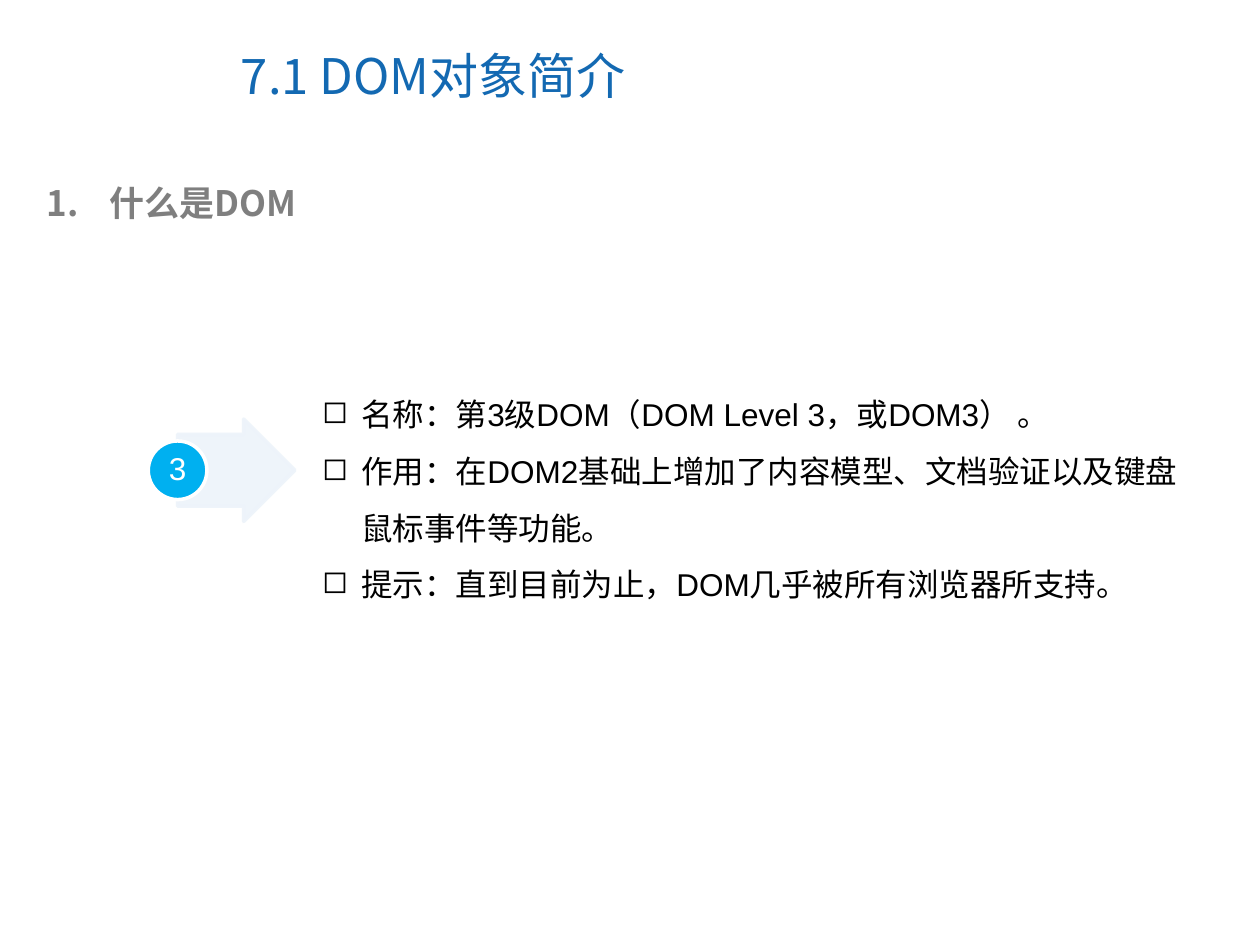
import dataclasses

import lxml.etree
import pptx
import pptx.dml.color
import pptx.enum.shapes
import pptx.enum.text
import pptx.oxml.ns
import pptx.util

Pt = pptx.util.Pt
qn = pptx.oxml.ns.qn
ALIGN = pptx.enum.text.PP_ALIGN
ANCHOR = pptx.enum.text.MSO_ANCHOR
SHAPE = pptx.enum.shapes.MSO_SHAPE
CJK = "Noto Sans CJK SC"


@dataclasses.dataclass
class Box:
    left: float
    top: float
    width: float
    height: float

    def lengths(self):
        return [Pt(v) for v in dataclasses.astuple(self)]


@dataclasses.dataclass
class Style:
    size: float
    color: str
    font: str = CJK
    bold: bool = False


@dataclasses.dataclass
class Bullet:
    tag: str
    attr: str
    value: str
    indent: float


def rgb(value: str):
    return pptx.dml.color.RGBColor.from_string(value)


def add_run(p, text: str, style: Style):
    r = p.add_run()
    r.text = text
    r.font.size = Pt(style.size)
    r.font.bold = style.bold
    r.font.name = style.font
    r.font.color.rgb = rgb(style.color)
    lxml.etree.SubElement(r._r.get_or_add_rPr(), qn("a:ea"), typeface=CJK)


def add_list(s, box: Box, lines: list[str], style: Style, bullet: Bullet,
             spacing: float = 1.0):
    tf = s.shapes.add_textbox(*box.lengths()).text_frame
    tf.word_wrap = True
    for i, line in enumerate(lines):
        p = tf.add_paragraph() if i else tf.paragraphs[0]
        p.line_spacing = spacing
        pPr = p._p.get_or_add_pPr()
        pPr.set("marL", str(Pt(bullet.indent)))
        pPr.set("indent", str(-Pt(bullet.indent)))
        lxml.etree.SubElement(pPr, qn(bullet.tag), {bullet.attr: bullet.value})
        add_run(p, line, style)


def add_shape(s, kind, box: Box, fill: str, line: str, opacity: int = 100):
    sp = s.shapes.add_shape(kind, *box.lengths())
    sp.shadow.inherit = False
    sp.fill.solid()
    sp.fill.fore_color.rgb = rgb(fill)
    sp.line.color.rgb = rgb(line)
    sp.line.width = Pt(2)
    if opacity < 100:
        for clr in sp._element.spPr.iter(qn("a:srgbClr")):
            lxml.etree.SubElement(clr, qn("a:alpha"), val=str(opacity * 1000))
    return sp


prs = pptx.Presentation()
prs.slide_width, prs.slide_height = Pt(720), Pt(540)
s = prs.slides.add_slide(prs.slide_layouts[5])

# Title
title = s.shapes.title
title.left, title.top, title.width, title.height = Box(130.5, 12.5, 371.5, 61).lengths()
tf = title.text_frame
tf.auto_size = pptx.enum.text.MSO_AUTO_SIZE.NONE
tf.vertical_anchor = ANCHOR.MIDDLE
tf.paragraphs[0].alignment = ALIGN.LEFT
add_run(tf.paragraphs[0], "7.1 DOM对象简介", Style(28, "1369B2"))

# Numbered heading
add_list(s, Box(19.5, 100, 664, 32), ["什么是DOM"], Style(20, "7F7F7F", bold=True),
         Bullet("a:buAutoNum", "type", "arabicPeriod", 36))

# Arrow with numbered circle
arrow = add_shape(s, SHAPE.RIGHT_ARROW, Box(101.5, 239.5, 67, 58.5),
                  "EDF3FA", "EDF3FA", opacity=90)
arrow.adjustments[0], arrow.adjustments[1] = 0.7, 0.5
circle = add_shape(s, SHAPE.OVAL, Box(84.75, 252, 33.5, 33.5), "00B0F0", "FFFFFF")
tf = circle.text_frame
tf.margin_left = tf.margin_right = tf.margin_top = tf.margin_bottom = 0
tf.vertical_anchor = ANCHOR.MIDDLE
p = tf.paragraphs[0]
p.alignment = ALIGN.CENTER
p.line_spacing = 0.9
add_run(p, "3", Style(18, "FFFFFF", "Arial"))

# Description of DOM level 3
add_list(s, Box(177, 211.5, 509, 137), [
    "名称：第3级DOM（DOM Level 3，或DOM3） 。",
    "作用：在DOM2基础上增加了内容模型、文档验证以及键盘鼠标事件等功能。",
    "提示：直到目前为止，DOM几乎被所有浏览器所支持。",
], Style(18, "000000", "Arial"), Bullet("a:buChar", "char", "◻", 22.5), spacing=1.5)

prs.save("out.pptx")
